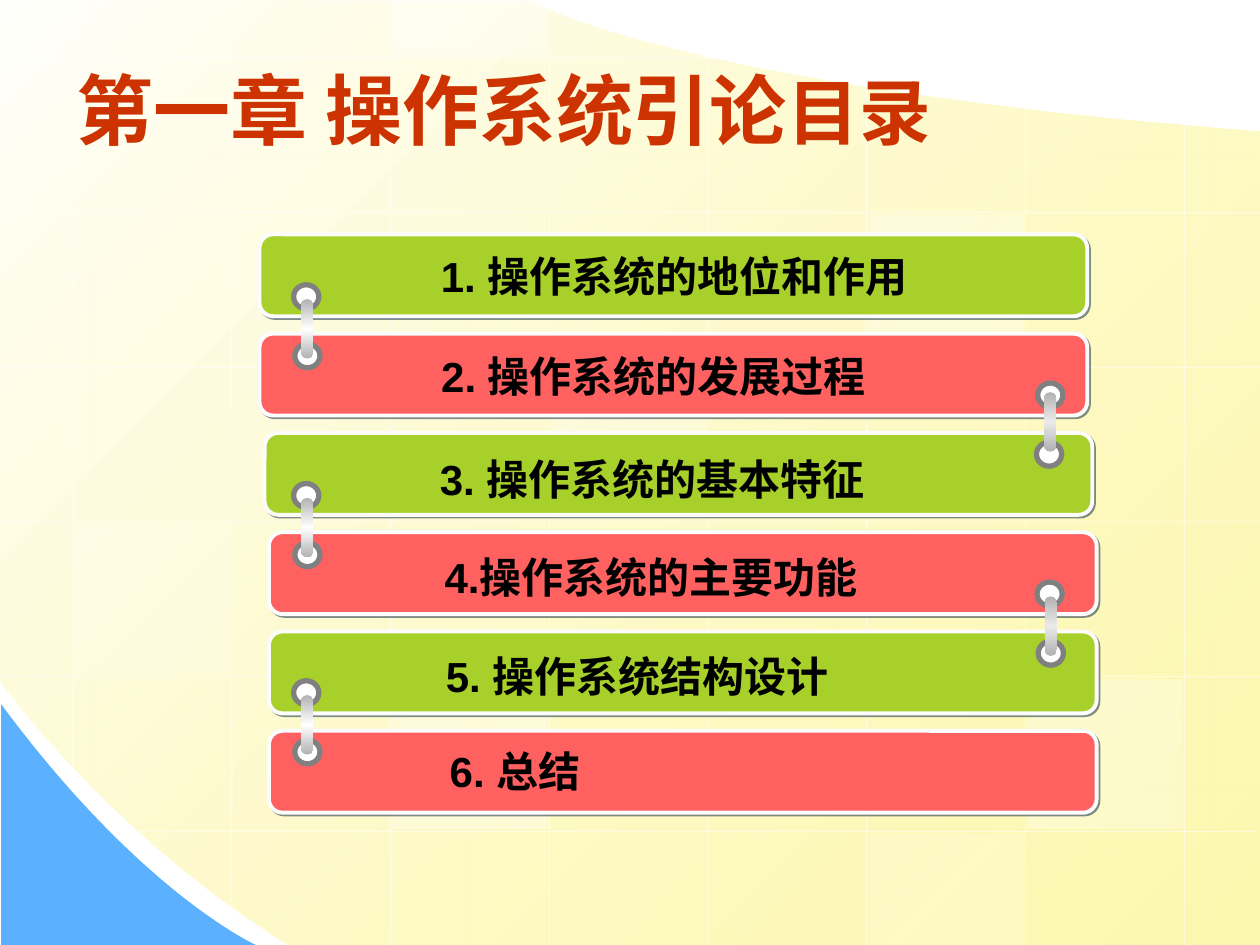
from dataclasses import dataclass

import pptx
import pptx.dml.color
import pptx.enum.shapes
import pptx.enum.text
import pptx.oxml
import pptx.oxml.ns
import pptx.util

Pt = pptx.util.Pt
SHAPE = pptx.enum.shapes.MSO_SHAPE
ANCHOR = pptx.enum.text.MSO_ANCHOR
qn = pptx.oxml.ns.qn
NS = pptx.oxml.ns.nsdecls("a")


@dataclass(frozen=True)
class Theme:
    font: str = "Arial"
    title_size: float = 44
    title_end_size: float = 41
    item_size: float = 24
    title: str = "CC3300"
    text: str = "000000"
    white: str = "FFFFFF"
    corner: str = "5CB1FE"
    green: str = "A8D02A"
    red: str = "FF6161"
    border: str = "FCFCFC"
    shadow: str = "001D3A"
    text_shadow: str = "808080"
    ring: str = "808080"
    metal: str = "B2B2B2"
    shine_left: str = "FFFFFF"
    shine_right: str = "EAEAEA"
    wash: tuple = ((0, "FFFFFB", 100), (100, "FDF58D", 70))


@dataclass(frozen=True)
class Item:
    text: str
    bar_x: float
    text_x: float
    text_y: float


@dataclass(frozen=True)
class Clip:
    x: float
    y: float
    shine: str
    lean: float = 0.7
    pin_drop: float = 8.2


T = Theme()
ITEMS = [
    Item("1. 操作系统的地位和作用", 148.3, 209.5, 139.7),
    Item("2. 操作系统的发展过程", 148.3, 209.8, 196.6),
    Item("3. 操作系统的基本特征", 151.2, 209, 255.6),
    Item("4.操作系统的主要功能", 153.7, 211.7, 311.8),
    Item("5. 操作系统结构设计", 153.7, 212.4, 367.9),
    Item("6. 总结", 153.7, 214.6, 422.6),
]
CLIPS = [
    Clip(593, 218.9, T.shine_right, -0.7, 5.2),
    Clip(592.6, 332.6, T.shine_right),
    *(Clip(167.8, y, T.shine_left) for y in (162.7, 276.3, 389)),
]
# Grid: first line and step, then where each line starts and ends
COLUMNS = [(0, 438.5), (0, 517.7), (0, 540), (0, 541), (31, 541), (49, 541), (61, 541), (70.6, 541)]
ROWS = [(0, 409), *[(0, 720)] * 4, (80, 718)]
# Tiles: column, row, alpha
TILES = [(3, 2, 25), (6, 4, 30), (0, 3, 20), (5, 5, 20), (2, -1, 40), (2, 4, 30), (5, 1, 30)]
GRID_X, GRID_Y, STEP_X, STEP_Y = 41.8, 33.1, 90.7, 88.4


def rgb(color: str):
    return pptx.dml.color.RGBColor.from_string(color)


def set_alpha(fill_parent, percent: float) -> None:
    clr = next(fill_parent.iter(qn("a:srgbClr")))
    clr.append(pptx.oxml.parse_xml(f'<a:alpha {NS} val="{percent * 1000}"/>'))


def shadow_effect(color: str, alpha: int, dist: float):
    return pptx.oxml.parse_xml(
        f'<a:effectLst {NS}><a:outerShdw blurRad="0" dist="{Pt(dist)}" dir="2700000" algn="ctr" '
        f'rotWithShape="0"><a:srgbClr val="{color}"><a:alpha val="{alpha * 1000}"/></a:srgbClr>'
        f'</a:outerShdw></a:effectLst>')


def set_gradient(sp, stops, angle: int) -> None:
    """Fill with (position, colour, alpha) stops; the angle runs clockwise."""
    sp.fill.background()
    old = sp._element.spPr.find(qn("a:noFill"))
    gs = "".join(f'<a:gs pos="{pos * 1000}"><a:srgbClr val="{c}"><a:alpha val="{a * 1000}"/>'
                 f'</a:srgbClr></a:gs>' for pos, c, a in stops)
    old.addnext(pptx.oxml.parse_xml(
        f'<a:gradFill {NS} rotWithShape="1"><a:gsLst>{gs}</a:gsLst>'
        f'<a:lin ang="{angle * 60000}" scaled="0"/></a:gradFill>'))
    sp._element.spPr.remove(old)


def add_shape(s, kind, x, y, w, h, fill=None, line=None, weight=0.0):
    sp = s.shapes.add_shape(kind, Pt(x), Pt(y), Pt(w), Pt(h))
    sp.shadow.inherit = False
    if fill:
        sp.fill.solid()
        sp.fill.fore_color.rgb = rgb(fill)
    if line:
        sp.line.color.rgb = rgb(line)
        sp.line.width = Pt(weight)
    else:
        sp.line.fill.background()
    return sp


def bezier(p0, p1, p2, p3, steps: int = 40) -> list:
    points = []
    for i in range(steps + 1):
        t = i / steps
        u = 1 - t
        points.append(tuple(u**3 * a + 3 * u * u * t * b + 3 * u * t * t * c + t**3 * d
                            for a, b, c, d in zip(p0, p1, p2, p3)))
    return points


def add_outline(s, points):
    start, *rest = [(Pt(x), Pt(y)) for x, y in points]
    builder = s.shapes.build_freeform(*start)
    builder.add_line_segments(rest, close=True)
    sp = builder.convert_to_shape()
    sp.shadow.inherit = False
    sp.line.fill.background()
    return sp


def add_line(s, x1, y1, x2, y2) -> None:
    line = s.shapes.add_connector(pptx.enum.shapes.MSO_CONNECTOR.STRAIGHT, Pt(x1), Pt(y1), Pt(x2), Pt(y2))
    line.line.color.rgb = rgb(T.white)
    line.line.width = Pt(0.75)
    set_alpha(line._element.spPr, 50)
    line._element.spPr.append(pptx.oxml.parse_xml(f"<a:effectLst {NS}/>"))


def add_text(s, x, y, w, h, *runs, color=T.text, anchor=ANCHOR.TOP, margin=0.0, indent=0.0, shadow=False):
    """Add one bold paragraph made of (text, size) runs."""
    tf = s.shapes.add_textbox(Pt(x), Pt(y), Pt(w), Pt(h)).text_frame
    tf.word_wrap = True
    tf.vertical_anchor = anchor
    p = tf.paragraphs[0]
    pPr = p._p.get_or_add_pPr()
    pPr.set("marL", str(Pt(margin)))
    pPr.set("indent", str(Pt(indent)))
    for text, size in runs:
        r = p.add_run()
        r.text = text
        r.font.name, r.font.size, r.font.bold = T.font, Pt(size), True
        r.font.color.rgb = rgb(color)
        if shadow:
            r._r.rPr.find(qn("a:solidFill")).addnext(shadow_effect(T.text_shadow, 60, 2))


def draw_background(s) -> None:
    left = bezier((165.6, 540), (61.9, 475.9), (-0.7, 388.1), (0, 388.1))
    top = bezier((303.1, 0.7), (303.1, 0.7), (386.6, 49.7), (720, 74.9))
    field = add_outline(s, [(720, 540), *left, (-0.7, -0.7), *top])
    set_gradient(field, T.wash, 45)
    curve = bezier((146.2, 540), (146.2, 540), (80.6, 510.5), (0.7, 402.5))
    corner = add_outline(s, [(0.7, 540), *curve])
    corner.fill.solid()
    corner.fill.fore_color.rgb = rgb(T.corner)
    for i, (start, end) in enumerate(COLUMNS):
        add_line(s, GRID_X + i * STEP_X, start, GRID_X + i * STEP_X, end)
    for i, (start, end) in enumerate(ROWS):
        add_line(s, start, GRID_Y + i * STEP_Y, end, GRID_Y + i * STEP_Y)
    for col, row, alpha in TILES:
        y = max(0, GRID_Y + row * STEP_Y + 1.5)
        bottom = min(540, GRID_Y + (row + 1) * STEP_Y - 1.5)
        tile = add_shape(s, SHAPE.RECTANGLE, GRID_X + col * STEP_X + 1.2, y, 88.6, bottom - y, T.white)
        set_alpha(tile._element.spPr, alpha)


def draw_item(s, i: int, item: Item) -> None:
    bar = add_shape(s, SHAPE.ROUNDED_RECTANGLE, item.bar_x, 133.9 + 56.74 * i, 473, 46.8,
                    (T.green, T.red)[i % 2], T.border, 2.25)
    bar.adjustments[0] = 0.167
    spPr = bar._element.spPr
    spPr.replace(spPr.find(qn("a:effectLst")), shadow_effect(T.shadow, 50, 1.4))
    add_text(s, item.text_x, item.text_y, 355, 36, (item.text, T.item_size),
             margin=36, indent=-0.72, shadow=True)


def draw_clip(s, clip: Clip) -> None:
    for x, y in ((clip.x, clip.y), (clip.x + clip.lean, clip.y + 33.8)):
        add_shape(s, SHAPE.OVAL, x, y, 14.4, 13.7, T.white, T.ring, 3)
    pin_x = clip.x + 4.3 + min(0, clip.lean)
    pin = add_shape(s, SHAPE.ROUNDED_RECTANGLE, pin_x, clip.y + clip.pin_drop, 7, 34)
    pin.adjustments[0] = 0.5
    set_gradient(pin, ((0, T.metal, 100), (50, clip.shine, 100), (100, T.metal, 100)), 90)


def main() -> None:
    prs = pptx.Presentation()
    prs.slide_width, prs.slide_height = Pt(720), Pt(540)
    s = prs.slides.add_slide(prs.slide_layouts[6])
    draw_background(s)
    add_text(s, 36.7, 25.9, 648, 72.7, ("第一章 操作系统引论", T.title_size), ("目录", T.title_end_size),
             color=T.title, anchor=ANCHOR.MIDDLE)
    for i, item in enumerate(ITEMS):
        draw_item(s, i, item)
    for clip in CLIPS:
        draw_clip(s, clip)
    prs.save("out.pptx")


if __name__ == "__main__":
    main()
